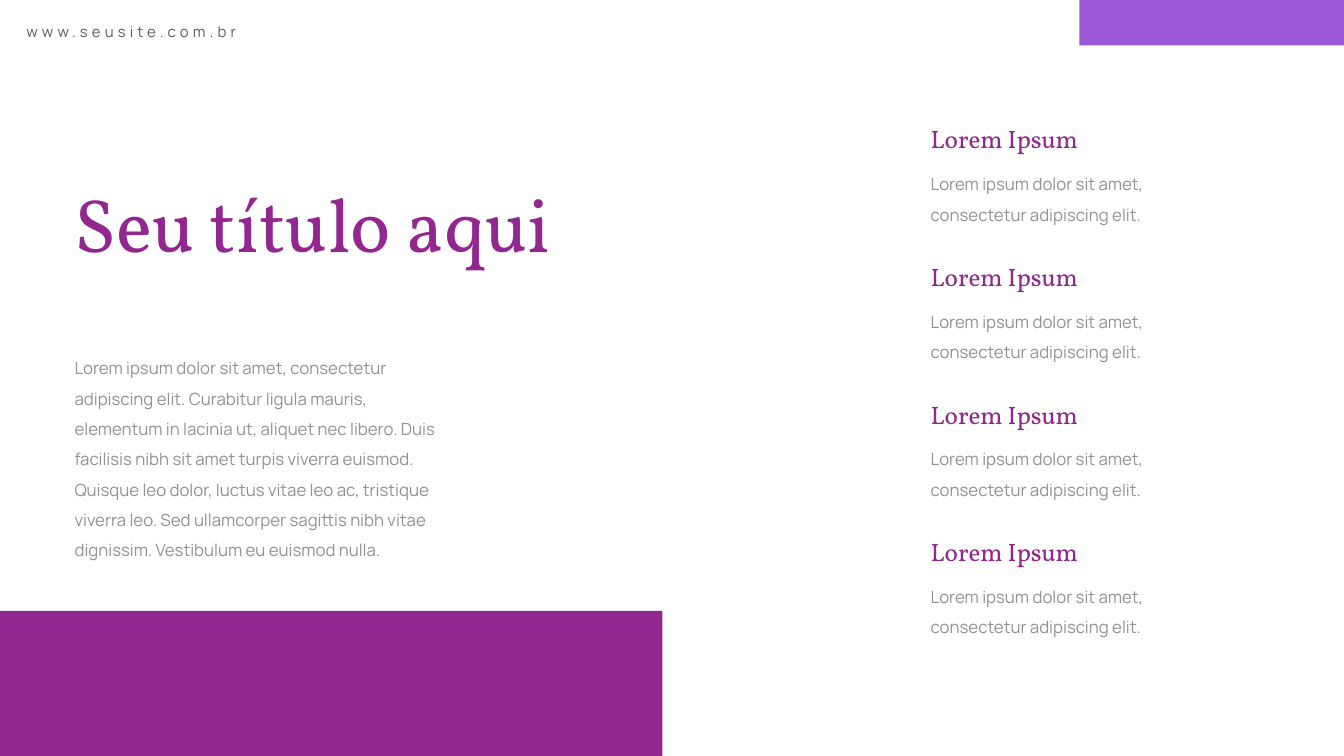
from pptx import Presentation
from pptx.dml.color import RGBColor
from pptx.enum import shapes, text
from pptx.util import Cm, Pt

PURPLE = RGBColor(0x92, 0x27, 0x8F)
VIOLET = RGBColor(0x9B, 0x57, 0xD3)
WHITE = RGBColor(0xFF, 0xFF, 0xFF)
GRAY = RGBColor(0x92, 0x92, 0x92)
DARK = RGBColor(0x5C, 0x5C, 0x5C)

SITE = "www.seusite.com.br"
TITLE = "Seu título aqui"
BODY = (
    "Lorem ipsum dolor sit amet, consectetur adipiscing elit. "
    "Curabitur ligula mauris, elementum in lacinia ut, aliquet nec libero. "
    "Duis facilisis nibh sit amet turpis viverra euismod. "
    "Quisque leo dolor, luctus vitae leo ac, tristique viverra leo. "
    "Sed ullamcorper sagittis nibh vitae dignissim. "
    "Vestibulum eu euismod nulla."
)
TOPICS = [
    ("Lorem Ipsum", "Lorem ipsum dolor sit amet, consectetur adipiscing elit."),
] * 4

BLOCKS = [
    ((0, 11.55, 12.52, 2.74), PURPLE),
    ((20.4, 0, 5, 0.86), VIOLET),
    ((0.86, 3.12, 10.12, 2.25), WHITE),
]

SITE_FONT = {"name": "Manrope", "size": Pt(8)}
TITLE_FONT = {"name": "Vollkorn", "size": Pt(40.5)}
TOPIC_FONT = {"name": "Vollkorn", "size": Pt(13.5)}
BODY_FONT = {"name": "Manrope", "size": Pt(9)}
FRAME = {
    "margin_left": Cm(0.19),
    "margin_right": Cm(0.19),
    "margin_top": Cm(0.1),
    "margin_bottom": Cm(0.1),
    "auto_size": text.MSO_AUTO_SIZE.SHAPE_TO_FIT_TEXT,
}

TOPIC_LEFT, TOPIC_TOP, TOPIC_STEP = 17.4, 2.24, 2.6


def add_block(s, box, color):
    block = s.shapes.add_shape(shapes.MSO_SHAPE.RECTANGLE, *map(Cm, box))
    block.shadow.inherit = False
    block.fill.solid()
    block.fill.fore_color.rgb = color
    block.line.fill.background()


def add_text(s, box, content, font, color, wrap=False, line_spacing=None):
    tf = s.shapes.add_textbox(*map(Cm, box)).text_frame
    for name, value in {**FRAME, "word_wrap": wrap}.items():
        setattr(tf, name, value)
    p = tf.paragraphs[0]
    p.line_spacing = line_spacing
    r = p.add_run()
    r.text = content
    for name, value in font.items():
        setattr(r.font, name, value)
    r.font.color.rgb = color
    return r


def main():
    prs = Presentation()
    prs.slide_width, prs.slide_height = Cm(25.4), Cm(14.29)
    s = prs.slides.add_slide(prs.slide_layouts[6])

    for box, color in BLOCKS:
        add_block(s, box, color)

    site = add_text(s, (0.31, 0.32, 4.6, 0.61), SITE, SITE_FONT, DARK)
    site.font._element.set("spc", "220")
    add_text(s, (1.22, 3.25, 9.86, 1.98), TITLE, TITLE_FONT, PURPLE)
    add_text(s, (1.22, 6.48, 7.52, 4.22), BODY, BODY_FONT, GRAY, True, 1.5)

    for i, (heading, detail) in enumerate(TOPICS):
        top = TOPIC_TOP + i * TOPIC_STEP
        add_text(s, (TOPIC_LEFT, top, 3.43, 0.84), heading, TOPIC_FONT, PURPLE)
        add_text(s, (TOPIC_LEFT, top + 0.76, 6.02, 1.35), detail,
                 BODY_FONT, GRAY, True, 1.5)

    prs.save("out.pptx")


if __name__ == "__main__":
    main()
